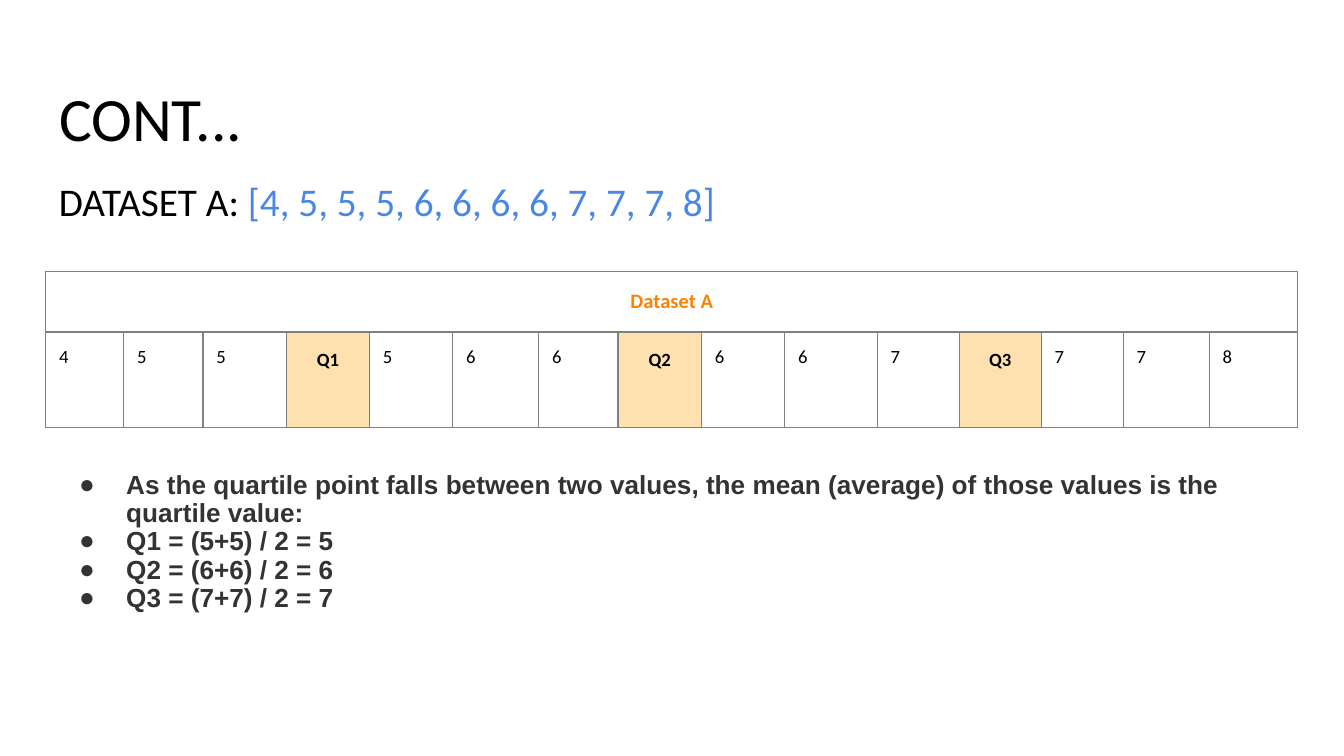
from lxml.etree import SubElement
from pptx import Presentation
from pptx.dml.color import RGBColor
from pptx.enum.text import MSO_ANCHOR, MSO_AUTO_SIZE, PP_ALIGN
from pptx.oxml.ns import qn
from pptx.util import Inches, Pt

LEFT, WIDTH, PAD = 0.34, 9.32, 0.1
DATA = ["4", "5", "5", "Q1", "5", "6", "6", "Q2", "6", "6", "7", "Q3", "7", "7", "8"]
COLS = [0.58, 0.59, 0.62, 0.62, 0.62, 0.64, 0.59, 0.62, 0.62, 0.69, 0.61, 0.61, 0.61, 0.64, 0.66]
ROWS = [0.45, 0.71]
POINTS = [
    "As the quartile point falls between two values, the mean (average) of those values is the quartile value:",
    "Q1 = (5+5) / 2 = 5",
    "Q2 = (6+6) / 2 = 6",
    "Q3 = (7+7) / 2 = 7",
]


def paint(target, color):
    """Set a font colour or a solid fill from a hex string."""
    if hasattr(target, "solid"):
        target.solid()
        target.fore_color.rgb = RGBColor.from_string(color)
    else:
        target.color.rgb = RGBColor.from_string(color)


def style(para, size, color="000000", bold=False, name="Calibri", align=PP_ALIGN.LEFT, space=None):
    """Set the font, alignment and line spacing of a paragraph."""
    font = para.font
    font.size, font.name, font.bold = Pt(size), name, bold
    paint(font, color)
    para.alignment = align
    if space:
        para.line_spacing = space


def inset(item):
    """Give a text frame or cell equal margins."""
    item.margin_left = item.margin_right = Inches(PAD)
    item.margin_top = item.margin_bottom = Inches(PAD)


def setup(frame, anchor=MSO_ANCHOR.TOP):
    """Prepare a text frame with wrapping and fixed size."""
    inset(frame)
    frame.word_wrap = True
    frame.auto_size = MSO_AUTO_SIZE.NONE
    frame.vertical_anchor = anchor


def add_title(slide, text):
    """Place and format the slide title."""
    title = slide.shapes.title
    title.left, title.top = Inches(LEFT), Inches(0.35)
    title.width, title.height = Inches(WIDTH), Inches(0.9)
    setup(title.text_frame, MSO_ANCHOR.BOTTOM)
    title.text_frame.text = text
    style(title.text_frame.paragraphs[0], 33, space=0.9)


def add_box(slide, top, height):
    """Add a full-width text box and return its frame."""
    box = slide.shapes.add_textbox(Inches(LEFT), Inches(top), Inches(WIDTH), Inches(height))
    setup(box.text_frame)
    return box.text_frame


def add_lead(slide, label, values):
    """Add the dataset line with coloured values."""
    para = add_box(slide, 1.26, 0.6).paragraphs[0]
    style(para, 21, space=0.9)
    para.add_run().text = label
    run = para.add_run()
    run.text = values
    paint(run.font, "4A86E8")


def add_bullet(para):
    """Give a paragraph a hanging round bullet."""
    props = para._p.get_or_add_pPr()
    props.set("marL", str(Inches(0.5)))
    props.set("indent", str(Inches(-0.35)))
    color = SubElement(props, qn("a:buClr"))
    SubElement(color, qn("a:srgbClr"), val="333333")
    SubElement(props, qn("a:buFont"), typeface="Arial")
    SubElement(props, qn("a:buChar"), char="●")


def add_points(slide, points):
    """Add the bulleted quartile results."""
    frame = add_box(slide, 3.41, 2.07)
    frame.text = "\n".join(points)
    for para in frame.paragraphs:
        add_bullet(para)
        style(para, 14, "333333", True, "Arial", space=0.9)


def add_border(cell):
    """Draw a thin grey line on each side of a cell."""
    props = cell._tc.get_or_add_tcPr()
    for side in ("lnL", "lnR", "lnT", "lnB"):
        line = SubElement(props, qn(f"a:{side}"), w=str(Pt(0.75)))
        fill = SubElement(line, qn("a:solidFill"))
        SubElement(fill, qn("a:srgbClr"), val="808080")


def fill_cell(cell, text, **look):
    """Write and format one table cell."""
    cell.text = text
    style(cell.text_frame.paragraphs[0], **look)


def add_grid(slide):
    """Add the dataset table with its quartile cells marked."""
    table = slide.shapes.add_table(
        len(ROWS), len(COLS), Inches(LEFT), Inches(2.02), Inches(WIDTH), Inches(sum(ROWS))
    ).table
    table.first_row = table.horz_banding = False
    for col, width in zip(table.columns, COLS):
        col.width = Inches(width)
    for row, height in zip(table.rows, ROWS):
        row.height = Inches(height)
    for cell in table.iter_cells():
        inset(cell)
        add_border(cell)
        paint(cell.fill, "FFFFFF")
    center = {"bold": True, "align": PP_ALIGN.CENTER, "space": 1.15}
    head = table.cell(0, 0)
    head.merge(table.cell(0, len(COLS) - 1))
    fill_cell(head, "Dataset A", size=11, color="FF8100", **center)
    for col, text in enumerate(DATA):
        cell = table.cell(1, col)
        mark = text.startswith("Q")
        fill_cell(cell, text, size=10, **(center if mark else {}))
        if mark:
            paint(cell.fill, "FFE1B0")


def main():
    """Build and save the slide."""
    deck = Presentation()
    deck.slide_width = Inches(10)
    deck.slide_height = deck.slide_width * 9 // 16
    slide = deck.slides.add_slide(deck.slide_layouts[5])
    add_title(slide, "CONT...")
    values = ", ".join(text for text in DATA if text.isdigit())
    add_lead(slide, "DATASET A: ", f"[{values}]")
    add_points(slide, POINTS)
    add_grid(slide)
    deck.save("out.pptx")


if __name__ == "__main__":
    main()
